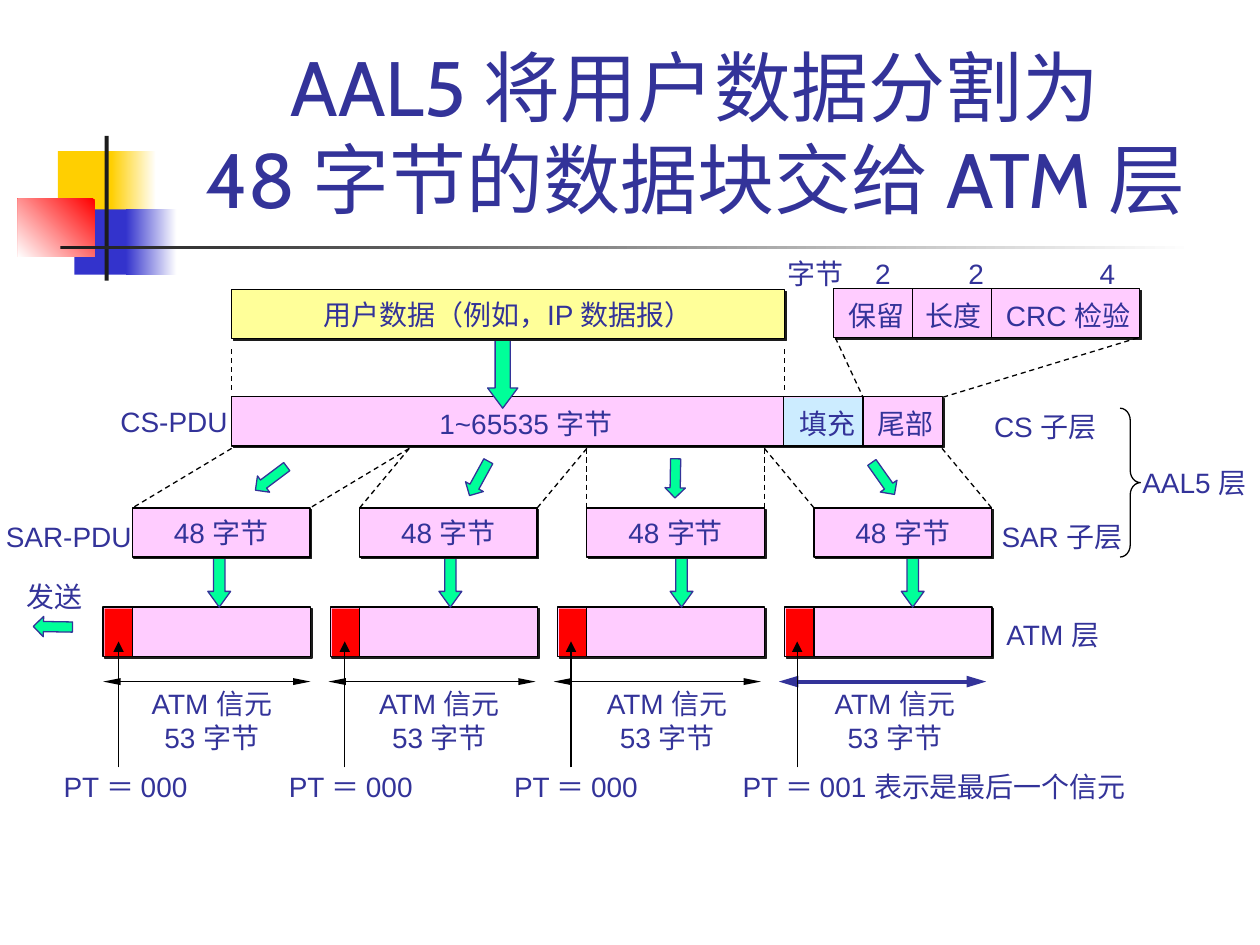
from dataclasses import dataclass

from lxml.etree import SubElement
from pptx import Presentation
from pptx.dml.color import RGBColor
from pptx.enum.dml import MSO_LINE
from pptx.enum.shapes import MSO_CONNECTOR, MSO_SHAPE
from pptx.enum.text import MSO_ANCHOR, MSO_AUTO_SIZE, PP_ALIGN
from pptx.oxml.ns import qn
from pptx.util import Cm, Pt


@dataclass(frozen=True)
class Theme:
    """Colours, fonts and sizes of the slide."""
    ink: str = "333399"
    black: str = "000000"
    white: str = "FFFFFF"
    charcoal: str = "1C1C1C"
    pink: str = "FFCCFF"
    yellow: str = "FFFF99"
    pale_blue: str = "CCECFF"
    red: str = "FF0000"
    green: str = "00FF99"
    gold: str = "FFCF01"
    blue: str = "3333CC"
    body_font: str = "Arial"
    title_font: str = "Cabin"
    body_size: int = 16
    title_size: int = 44
    thin: float = 0.75
    thick: float = 2.25


@dataclass(frozen=True)
class Box:
    """A region in centimetres, with lengths measured from its corner."""
    left: float
    top: float
    width: float
    height: float

    def place(self, dx=0, dy=0, width=None, height=None):
        """Return left, top, width and height of a part of the region."""
        return (Cm(self.left + dx), Cm(self.top + dy),
                Cm(self.width if width is None else width),
                Cm(self.height if height is None else height))


THEME = Theme()
COLUMNS = 4
SAR_PITCH = 4.58
SEGMENT = 3.58
ROW = 0.99
LABEL = 0.94


def apply(target, values):
    """Set each named attribute of the target."""
    for name, value in values.items():
        setattr(target, name, value)


def write(frame, text, align=PP_ALIGN.LEFT, font=THEME.body_font,
          size=THEME.body_size, tabs=(), **frame_format):
    """Write paragraphs into a text frame."""
    apply(frame, {"word_wrap": False, **frame_format})
    frame.text = text
    for paragraph in frame.paragraphs:
        paragraph.alignment = align
        if tabs:
            stops = SubElement(paragraph._p.get_or_add_pPr(), qn("a:tabLst"))
            for stop in tabs:
                SubElement(stops, qn("a:tab"), pos=str(Cm(stop)), algn="l")
        apply(paragraph.font, {"name": font, "size": Pt(size)})
        paragraph.font.color.rgb = RGBColor.from_string(THEME.ink)


def label(slide, place, text, fill=None, **text_format):
    """Add a text label."""
    caption = slide.shapes.add_textbox(*place)
    if fill:
        caption.fill.solid()
        caption.fill.fore_color.rgb = RGBColor.from_string(fill)
    write(caption.text_frame, text, **{
        "auto_size": MSO_AUTO_SIZE.SHAPE_TO_FIT_TEXT, **text_format})


def block(slide, place, fill=None, line=None, kind=MSO_SHAPE.RECTANGLE):
    """Add a preset shape, unfilled or unlined where no colour is given."""
    shape = slide.shapes.add_shape(kind, *place)
    shape.shadow.inherit = False
    if fill:
        shape.fill.solid()
        shape.fill.fore_color.rgb = RGBColor.from_string(fill)
    else:
        shape.fill.background()
    if line:
        shape.line.color.rgb = RGBColor.from_string(line)
        shape.line.width = Pt(THEME.thin)
    else:
        shape.line.fill.background()
    return shape


def packet(slide, place, fill=THEME.pink, text=None):
    """Add an outlined data unit with a hard shadow."""
    unit = block(slide, place, fill, THEME.black)
    effects = unit._element.spPr.find(qn("a:effectLst"))
    shadow = SubElement(effects, qn("a:outerShdw"), blurRad="0",
                        dist=str(Pt(1.4)), dir="2700000", algn="ctr", rotWithShape="0")
    SubElement(shadow, qn("a:srgbClr"), val=THEME.charcoal)
    if text:
        write(unit.text_frame, text, PP_ALIGN.CENTER, vertical_anchor=MSO_ANCHOR.MIDDLE)


def fade(slide, place, start, end=THEME.white, angle=0):
    """Add a rectangle that fades from one colour to another."""
    panel = block(slide, place, start)
    panel.fill.gradient()
    panel.fill.gradient_angle = angle
    for stop, colour in zip(panel.fill.gradient_stops, (start, end)):
        stop.color.rgb = RGBColor.from_string(colour)


def flow_arrow(slide, place, head=0.5, rotation=0):
    """Add a green block arrow."""
    arrow = block(slide, place, THEME.green, THEME.ink, MSO_SHAPE.DOWN_ARROW)
    arrow.adjustments[1] = head
    arrow.rotation = rotation


def rule(slide, box, start, end, dash=None, colour=THEME.black, width=THEME.thin, heads=()):
    """Draw a line between two points of the region."""
    line = slide.shapes.add_connector(
        MSO_CONNECTOR.STRAIGHT, *box.place(*start)[:2], *box.place(*end)[:2])
    apply(line.line, {"width": Pt(width), "dash_style": dash})
    line.line.color.rgb = RGBColor.from_string(colour)
    for tag, breadth, length in heads:
        SubElement(line.line._get_or_add_ln(), qn(tag), type="triangle", w=breadth, len=length)
    SubElement(line._element.spPr, qn("a:effectLst"))


def decoration(slide, box):
    """Draw the coloured squares and the crossing bars."""
    block(slide, box.place(0.81, 0.31, 1.22, 1.32), THEME.gold)
    fade(slide, box.place(1.88, 0.31, 0.91, 1.32), THEME.gold)
    block(slide, box.place(1.14, 1.48, 1.17, 1.32), THEME.blue)
    fade(slide, box.place(2.18, 1.48, 1.02, 1.32), THEME.blue)
    fade(slide, box.place(0, 1.27, 1.55, 1.17), THEME.red, angle=225)
    block(slide, box.place(1.75, 0, 0.08), THEME.charcoal)
    fade(slide, box.place(0.86, 2.21, 22.86, 0.08), THEME.charcoal)


def cs_pdu(slide, box):
    """Draw the CS-PDU with its payload, padding and trailer."""
    packet(slide, box.place())
    block(slide, box.place(11.13, 0.02, 1.58, 0.95), THEME.pale_blue)
    for x in (11.13, 12.73):
        rule(slide, box, (x, 0), (x, box.height))
    for x, width, text in ((3.94, 4.4, "1~65535 字节"), (11.2, 1.7, "填充"), (12.78, 1.7, "尾部")):
        label(slide, box.place(x, 0.08, width, LABEL), text)


def trailer(slide, box):
    """Draw the trailer fields, their byte counts and the zoom lines."""
    packet(slide, box.place())
    for x in (1.58, 3.18):
        rule(slide, box, (x, 0), (x, box.height))
    for x, width, text in ((0.05, 1.7, "保留"), (1.6, 1.7, "长度"), (3.22, 3.4, "CRC 检验")):
        label(slide, box.place(x, 0.08, width, LABEL), text)
    label(slide, box.place(-1.19, -0.77, 7.3, LABEL), "字节\t2\t2\t4",
          tabs=(1.77, 3.65, 6.3), word_wrap=True)
    for start, end in ((0.03, 0.59), (6.13, 2.19)):
        rule(slide, box, (start, box.height), (end, 2.19), MSO_LINE.DASH)


def segmentation(slide, box):
    """Draw the lines and arrows that cut the CS-PDU into SAR-PDUs."""
    for i in range(COLUMNS):
        for edge in (0, SEGMENT):
            rule(slide, box, (2 + i * SEGMENT + edge, 0),
                 (i * SAR_PITCH + edge, box.height), MSO_LINE.DASH)
    for x, rotation in ((2.59, 53.1), (6.78, 28.7), (10.74, 1), (14.93, 324.7)):
        flow_arrow(slide, box.place(x, 0.21, 0.41, 0.79), rotation=rotation)


def user_data(slide, box):
    """Draw the user data, its arrow and its guide lines."""
    for x in (0, box.width):
        rule(slide, box, (x, 1.2), (x, 2.08), MSO_LINE.DASH)
    flow_arrow(slide, box.place(5.16, 0.79, 0.61, 1.6), head=0.67)
    packet(slide, box.place(), THEME.yellow, "用户数据（例如，IP 数据报）")


def cells(slide, box):
    """Draw each SAR-PDU going down into its ATM cell."""
    for i in range(COLUMNS):
        x = i * SAR_PITCH
        packet(slide, box.place(x, 2, 4.18, ROW))
        block(slide, box.place(x + 0.03, 2.03, 0.56, 0.96), THEME.red)
        rule(slide, box, (x + 0.59, 2), (x + 0.59, 2 + ROW))
        flow_arrow(slide, box.place(2.11 + i * 4.66, 0.73, 0.46, 1.27), head=0.69)
        packet(slide, box.place(x + 0.59, 0, SEGMENT, ROW), text="48 字节")


def cell_sizes(slide, box):
    """Draw the width and size caption of each ATM cell."""
    for i in range(COLUMNS):
        last = i == COLUMNS - 1
        colour, width, breadth = ((THEME.ink, THEME.thick, "med") if last
                                  else (THEME.black, THEME.thin, "sm"))
        x = i * 4.54
        rule(slide, box, (x, 0), (x + 4.18, 0), colour=colour, width=width,
             heads=[(tag, breadth, "lg") for tag in ("a:headEnd", "a:tailEnd")])
        label(slide, box.place(0.54 + i * 4.59, -0.02, 3.3), "ATM 信元\n53 字节",
              align=PP_ALIGN.CENTER)


def payload_types(slide, box):
    """Draw the PT value that points to each cell header."""
    values = [("PT ＝ 000", 3.48)] * 3 + [("PT ＝ 001 表示是最后一个信元", 8.84)]
    for i, (text, width) in enumerate(values):
        x = 1.48 + i * 4.56
        rule(slide, box, (x, 2.54), (x, 0), heads=[("a:tailEnd", "med", "med")])
        label(slide, box.place(i * 4.54 - 0.12, 2.46, width, LABEL), text,
              align=PP_ALIGN.CENTER)


def layer_names(slide, box):
    """Name the data units on the left and the layers on the right."""
    for x, y, width, text in ((2.31, 0, 2.9, "CS-PDU"), (0, 2.31, 3.2, "SAR-PDU"),
                              (0.41, 3.53, 1.7, "发送")):
        label(slide, box.place(x, y, width, LABEL), text)
    for x, y, width, text in ((19.92, 0.1, 2.95, "CS 子层"), (22.91, 1.24, 2.95, "AAL5 层"),
                              (20.07, 2.31, 3.35, "SAR 子层"), (20.17, 4.29, 2.75, "ATM 层")):
        label(slide, box.place(x, y, width, LABEL), text, fill=THEME.white)
    brace = block(slide, box.place(22.71, 0.2, 0.41, 3), line=THEME.black,
                  kind=MSO_SHAPE.RIGHT_BRACE)
    brace.adjustments[0] = 0.6
    flow_arrow(slide, box.place(0.99, 4.21, 0.41, 0.79), rotation=91)


def title(slide, box):
    """Write the slide title."""
    label(slide, box.place(), "AAL5 将用户数据分割为\v48 字节的数据块交给 ATM 层",
          align=PP_ALIGN.CENTER, font=THEME.title_font, size=THEME.title_size,
          word_wrap=True, auto_size=MSO_AUTO_SIZE.NONE, vertical_anchor=MSO_ANCHOR.BOTTOM)


def main():
    """Build and save the slide."""
    deck = Presentation()
    apply(deck, {"slide_width": Cm(25.4), "slide_height": Cm(19.05)})
    slide = deck.slides.add_slide(deck.slide_layouts[6])
    decoration(slide, Box(0.36, 2.74, 23.72, 2.92))
    layer_names(slide, Box(-0.13, 8.03, 25.65, 5.23))
    cs_pdu(slide, Box(4.67, 8, 14.33, ROW))
    trailer(slide, Box(16.81, 5.82, 6.17, ROW))
    segmentation(slide, Box(2.67, 9.04, 17.32, 1.2))
    user_data(slide, Box(4.67, 5.84, 11.15, ROW))
    cells(slide, Box(2.08, 10.24, 17.92, 2.99))
    cell_sizes(slide, Box(2.08, 13.74, 17.8, 1.63))
    payload_types(slide, Box(0.91, 12.93, 22.26, 3.4))
    title(slide, Box(3.2, 0.58, 21.64, 4.06))
    deck.save("out.pptx")


if __name__ == "__main__":
    main()
